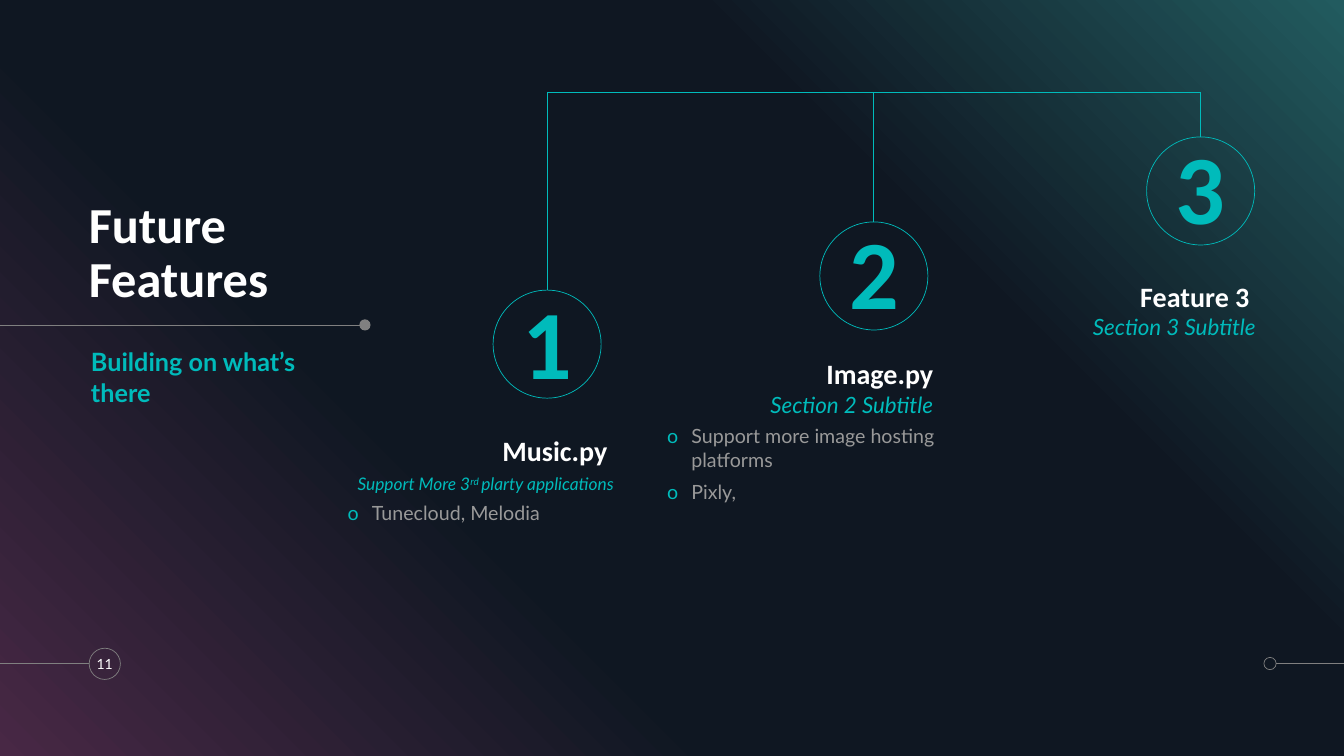
from copy import deepcopy
from pptx import Presentation
from pptx.dml.color import RGBColor
from pptx.enum.shapes import MSO_CONNECTOR, MSO_SHAPE
from pptx.enum.text import MSO_ANCHOR, PP_ALIGN
from pptx.oxml.ns import qn
from pptx.util import Pt
from lxml.etree import SubElement

TEAL, GRAY, WHITE, SOFT = "00BBBB", "808080", "FFFFFF", "999999"
STOPS = [(0, "482845"), (0.34, "0F1722"), (0.69, "0F1722"), (1, "225B5F")]
BAR = 65.7
FIRST, STEP, SIZE = 390.8, 233.4, 77.2

HEAD = dict(name="Calibri", size=Pt(20), bold=True, color=WHITE)
SUB = dict(name="Lato", size=Pt(16), italic=True, color=TEAL)
SMALL = {**SUB, "size": Pt(12.4)}
ITEM = dict(name="Lato", size=Pt(14), color=SOFT)
DIGIT = dict(name="Calibri", size=Pt(70), bold=True, color=TEAL)
TITLE = {**HEAD, "size": Pt(36)}
LEAD = dict(name="Lato", size=Pt(18), bold=True, color=TEAL)
PAGE = dict(name="Lato", size=Pt(10), color=WHITE)

RIGHT = dict(alignment=PP_ALIGN.RIGHT, line_spacing=0.9, space_before=Pt(6))
TIGHT = {**RIGHT, "line_spacing": 0.7}
MID = dict(alignment=PP_ALIGN.CENTER, line_spacing=0.9, space_before=Pt(10))

FEATURES = [
    dict(top=207.2, left=248.4, head=(306, "Music.py "), pad=5.8,
         sub=(334.1, ["Support More 3", "rd ", "plarty applications"], SMALL, TIGHT),
         items=(357.8, ["Tunecloud, Melodia"])),
    dict(top=158.5, left=476.6, head=(251.3, "Image.py"), pad=2.9,
         sub=(280.1, ["Section 2 Subtitle"], SUB, RIGHT),
         items=(303.1, ["Support more image hosting platforms", "Pixly,"])),
    dict(top=97.8, left=707, head=(195.8, "Feature 3 "), pad=2.9,
         sub=(224.6, ["Section 3 Subtitle"], SUB, RIGHT), items=None),
]


def rgb(code):
    return RGBColor.from_string(code)


def apply(thing, look):
    for key, val in look.items():
        setattr(thing, key, val)


def style(font, look):
    apply(font, {key: val for key, val in look.items() if key != "color"})
    font.color.rgb = rgb(look["color"])


def write(shape, paras, look, form, anchor=MSO_ANCHOR.TOP, pad=0):
    frame = shape.text_frame
    apply(frame, dict(word_wrap=True, vertical_anchor=anchor, margin_left=0,
                      margin_right=0, margin_top=Pt(pad), margin_bottom=0))
    for num, runs in enumerate(paras):
        para = frame.add_paragraph() if num else frame.paragraphs[0]
        apply(para, form)
        for text in runs:
            run = para.add_run()
            run.text = text
            style(run.font, look)
    return frame


def label(slide, box, paras, look, form, anchor=MSO_ANCHOR.TOP):
    shape = slide.shapes.add_textbox(*map(Pt, box))
    return write(shape, paras, look, form, anchor)


def bullet(frame):
    for para in frame.paragraphs:
        props = para._p.get_or_add_pPr()
        props.set("marL", str(Pt(17.3)))
        props.set("indent", str(-Pt(17.3)))
        tint = SubElement(props, qn("a:buClr"))
        SubElement(tint, qn("a:srgbClr"), val=TEAL)
        SubElement(props, qn("a:buFont"), typeface="Lato")
        SubElement(props, qn("a:buChar"), char="o")


def ring(slide, left, top, size, code, solid=False):
    shape = slide.shapes.add_shape(
        MSO_SHAPE.OVAL, Pt(left), Pt(top), Pt(size), Pt(size))
    shape.shadow.inherit = False
    if solid:
        shape.fill.solid()
        shape.fill.fore_color.rgb = rgb(code)
        shape.line.fill.background()
    else:
        shape.fill.background()
        shape.line.color.rgb = rgb(code)
        shape.line.width = Pt(0.5)
    return shape


def wire(slide, start, end, code):
    line = slide.shapes.add_connector(
        MSO_CONNECTOR.STRAIGHT, *map(Pt, (*start, *end)))
    line.line.color.rgb = rgb(code)
    line.line.width = Pt(0.5)
    SubElement(line._element.spPr, qn("a:effectLst"))
    return line


def backdrop(slide, wide, high):
    slide.background.fill.solid()
    slide.background.fill.fore_color.rgb = rgb("000000")
    shape = slide.shapes.add_shape(MSO_SHAPE.RECTANGLE, 0, 0, Pt(wide), Pt(high))
    shape.shadow.inherit = False
    shape.line.fill.background()
    fill = shape.fill
    fill.gradient()
    fill.gradient_angle = 45
    stops = shape._element.spPr.find(".//" + qn("a:gsLst"))
    for stop in list(stops):
        stops.append(deepcopy(stop))
    for stop, (place, code) in zip(fill.gradient_stops, STOPS):
        stop.position = place
        stop.color.rgb = rgb(code)


def feature(slide, num, data):
    mid, left = FIRST + num * STEP, data["left"]
    disc = ring(slide, mid - SIZE / 2, data["top"], SIZE, TEAL)
    write(disc, [[str(num + 1)]], DIGIT, MID, MSO_ANCHOR.MIDDLE, data["pad"])
    stem = wire(slide, (mid, BAR), (mid, data["top"]), TEAL)
    stem.end_connect(disc, 0)
    top, text = data["head"]
    label(slide, (left, top, 190, 28), [[text]], HEAD, RIGHT, MSO_ANCHOR.BOTTOM)
    top, runs, look, form = data["sub"]
    frame = label(slide, (left, top, 190, 18.7), [runs], look, form, MSO_ANCHOR.BOTTOM)
    for run in frame.paragraphs[0].runs:
        if run.text == "rd ":
            run.font._element.set("baseline", "30000")
    if data["items"]:
        top, items = data["items"]
        bullet(label(slide, (left, top, 203.8, 100), [[item] for item in items],
                     ITEM, dict(space_before=Pt(6))))


def main():
    deck = Presentation()
    deck.slide_width, deck.slide_height = Pt(960), Pt(540)
    slide = deck.slides.add_slide(deck.slide_layouts[6])
    backdrop(slide, 960, 540)

    wire(slide, (0, 232.1), (257.5, 232.1), GRAY)
    ring(slide, 256.7, 228.1, 8, GRAY, True)
    label(slide, (63.4, 118.8, 222.5, 101.5), [["Future Features"]], TITLE,
          dict(line_spacing=0.9), MSO_ANCHOR.BOTTOM)
    label(slide, (65, 247.7, 174.2, 164.9), [["Building on what’s there"]], LEAD,
          dict(space_before=Pt(10)))

    wire(slide, (0, 474), (63.6, 474), GRAY)
    badge = ring(slide, 63.7, 463, 22.3, GRAY)
    write(badge, [["11"]], PAGE, dict(alignment=PP_ALIGN.CENTER), MSO_ANCHOR.MIDDLE)
    badge.text_frame.word_wrap = False
    ring(slide, 902.8, 469.6, 8.8, GRAY)
    wire(slide, (911.6, 474), (960, 474), GRAY)

    wire(slide, (FIRST, BAR), (FIRST + 2 * STEP, BAR), TEAL)
    for num, data in enumerate(FEATURES):
        feature(slide, num, data)
    deck.save("out.pptx")


if __name__ == "__main__":
    main()
